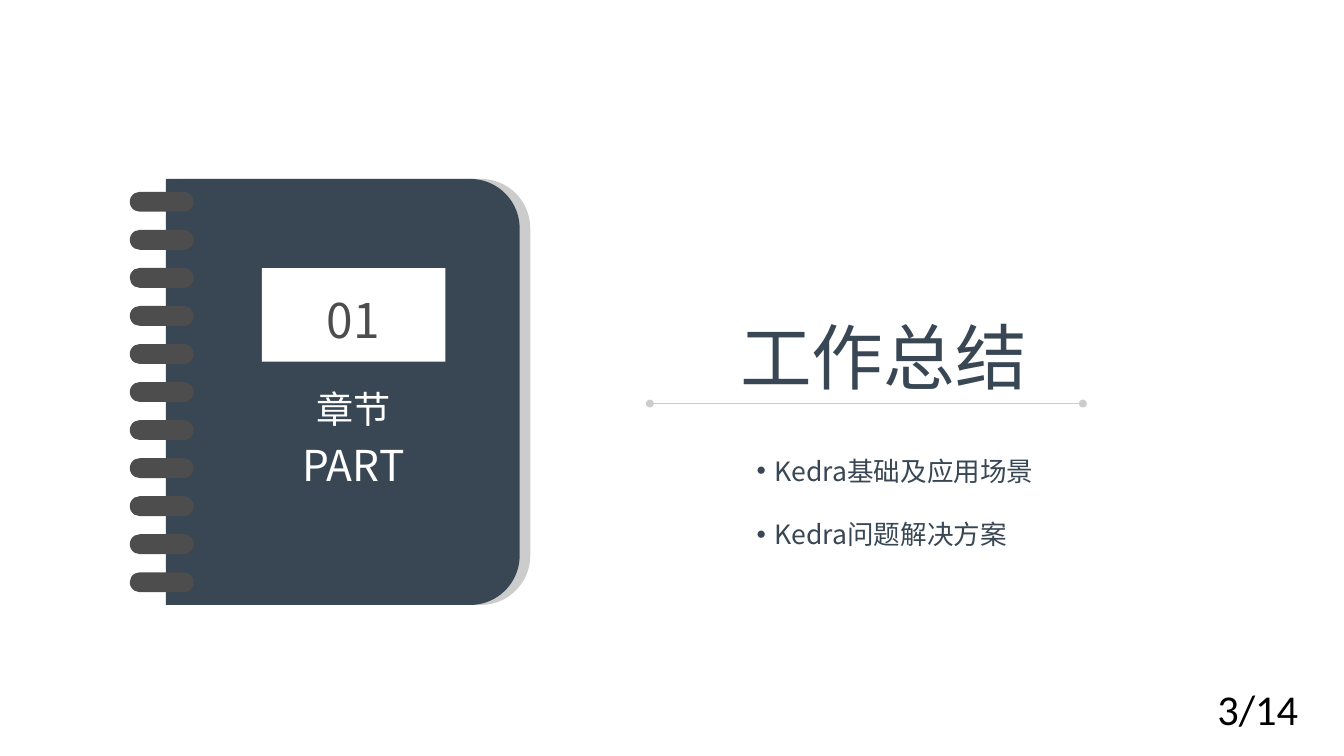
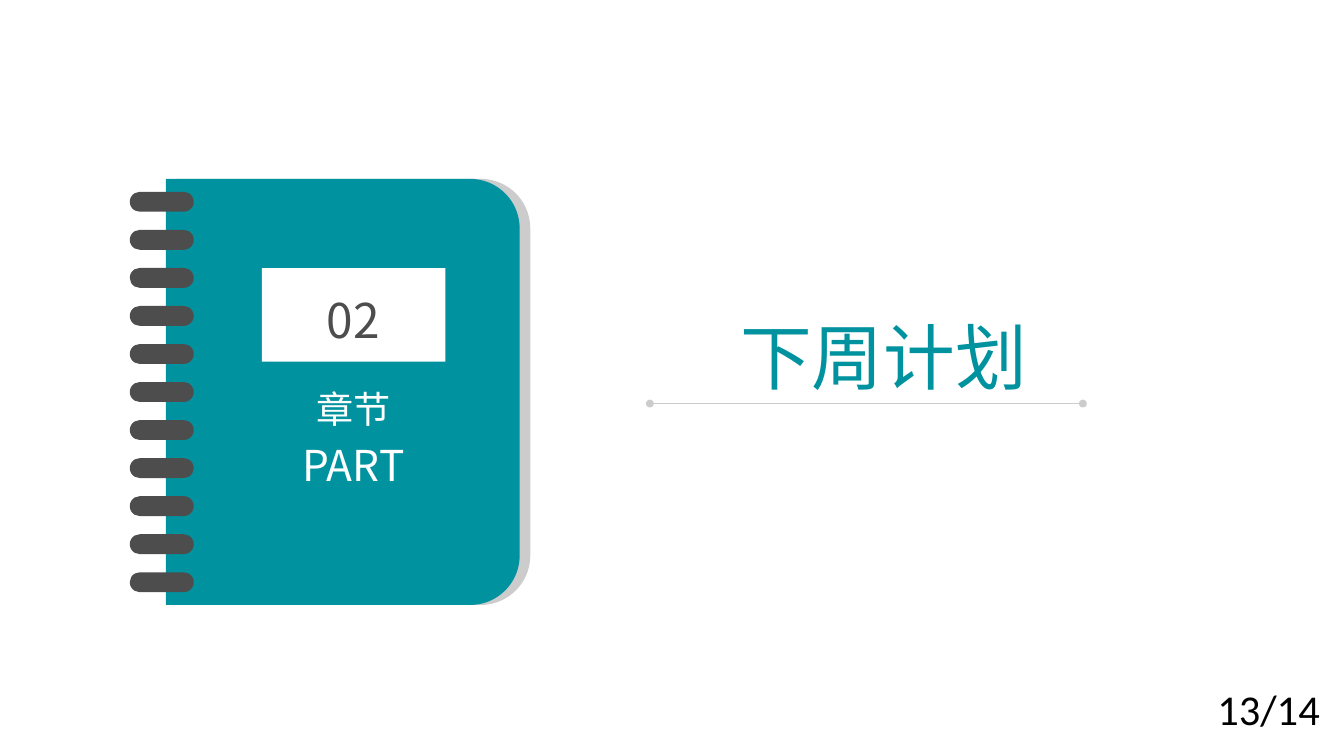
from pptx import Presentation
from pptx.dml.color import RGBColor
from pptx.enum.shapes import MSO_CONNECTOR, MSO_SHAPE
from pptx.enum.text import MSO_ANCHOR, MSO_AUTO_SIZE, PP_ALIGN
from pptx.oxml.ns import qn
from pptx.util import Pt
from lxml.etree import SubElement

COLORS = {"navy": "394754", "teal": "00939F", "grey": "CCCCCC",
          "dark": "4D4D4D", "white": "FFFFFF", "black": "000000"}
FONT = "Noto Sans CJK SC"
SECTIONS = [
    ("01", "工作总结", "navy", ["Kedra基础及应用场景", "Kedra问题解决方案"], "3/14"),
    ("02", "下周计划", "teal", [], "13/14"),
]
RING_COUNT, RING_TOP, RING_PITCH = 11, 144.5, 28.66


def add_block(shapes, kind, box, color):
    sp = shapes.add_shape(kind, *map(Pt, box))
    sp.shadow.inherit = False
    sp.fill.solid()
    sp.fill.fore_color.rgb = RGBColor.from_string(COLORS[color])
    sp.line.fill.background()
    return sp


def write_lines(sp, lines, color, align=PP_ALIGN.CENTER, inset=(0, 0), font=FONT, gap=0):
    """Fill a shape with (text, size) lines, gap points apart."""
    tf = sp.text_frame
    tf.word_wrap = True
    tf.auto_size = MSO_AUTO_SIZE.NONE
    tf.vertical_anchor = MSO_ANCHOR.TOP
    tf.margin_left = tf.margin_right = Pt(inset[0])
    tf.margin_top = tf.margin_bottom = Pt(inset[1])
    for i, (text, size) in enumerate(lines):
        p = tf.paragraphs[0] if i == 0 else tf.add_paragraph()
        p.alignment = align
        p.space_before = Pt(gap if i else 0)
        r = p.add_run()
        r.text = text
        r.font.size = Pt(size)
        r.font.name = font
        r.font.color.rgb = RGBColor.from_string(COLORS[color])
        SubElement(r.font._element, qn("a:ea"), typeface=font)
    return tf


prs = Presentation()
prs.slide_width, prs.slide_height = Pt(1012.5), Pt(569.5)

for number, title, accent, topics, page in SECTIONS:
    s = prs.slides.add_slide(prs.slide_layouts[5])

    # Title and rule
    sp = s.shapes.title
    sp.left, sp.top, sp.width, sp.height = map(Pt, (489.6, 235.5, 352, 65.5))
    write_lines(sp, [(title, 54)], accent)
    rule = s.shapes.add_connector(MSO_CONNECTOR.STRAIGHT, Pt(489.6), Pt(304), Pt(815.8), Pt(304))
    rule.line.color.rgb = RGBColor.from_string(COLORS["grey"])
    rule.line.width = Pt(1)
    ln = rule.line._get_or_add_ln()
    for end in ("a:headEnd", "a:tailEnd"):
        SubElement(ln, qn(end), type="oval")
    SubElement(rule._element.spPr, qn("a:effectLst"))

    # Topics
    if topics:
        sp = s.shapes.add_textbox(Pt(563), Pt(339), Pt(238.5), Pt(80))
        tf = write_lines(sp, [(t, 20) for t in topics], accent, PP_ALIGN.LEFT, (7.2, 3.6), gap=24)
        for p in tf.paragraphs:
            pPr = p._p.get_or_add_pPr()
            pPr.set("marL", str(Pt(13.5)))
            pPr.set("indent", str(Pt(-13.5)))
            SubElement(pPr, qn("a:buFont"), typeface="Arial")
            SubElement(pPr, qn("a:buChar"), char="•")

    # Notebook: the covers are turned so that the rounded corners face right
    book = s.shapes.add_group_shape().shapes
    width, height = 266.5, 321
    for left, color in ((133, "grey"), (125, accent)):
        turn = (height - width) / 2
        cover = add_block(book, MSO_SHAPE.ROUND_2_SAME_RECTANGLE,
                          (left - turn, 134.8 + turn, height, width), color)
        cover.adjustments[0] = 0.14
        cover.rotation = 90
    add_block(book, MSO_SHAPE.RECTANGLE, (197.3, 202, 138.2, 70.5), "white")
    for i in range(RING_COUNT):
        ring = add_block(book, MSO_SHAPE.ROUNDED_RECTANGLE,
                         (97.8, RING_TOP + i * RING_PITCH, 48.2, 15), "dark")
        ring.adjustments[0] = 0.5
    sp = book.add_textbox(Pt(201), Pt(219), Pt(130.5), Pt(44))
    write_lines(sp, [(number, 36)], "dark")
    sp = book.add_textbox(Pt(211.5), Pt(291), Pt(109.5), Pt(80.5))
    write_lines(sp, [("章节", 28), ("PART", 32)], "white", gap=6.4)

    # Page number
    sp = s.shapes.add_textbox(Pt(910), Pt(511), Pt(102.5), Pt(44))
    write_lines(sp, [(page, 32)], "black", PP_ALIGN.LEFT, (7.2, 3.6), "Calibri")

prs.save("out.pptx")
